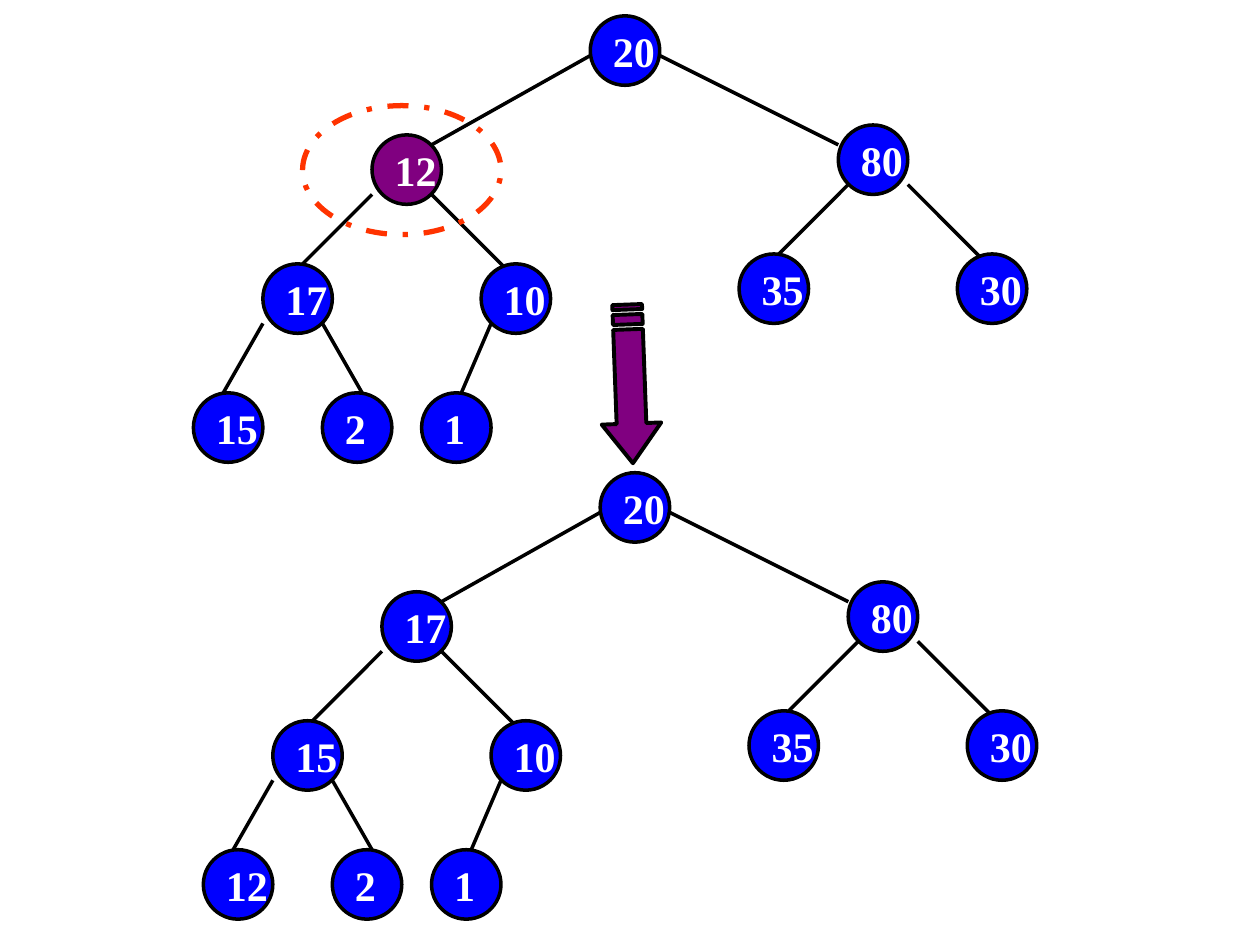
import pptx
import pptx.dml.color
import pptx.enum.dml
import pptx.enum.shapes
import pptx.enum.text
import pptx.oxml.ns
import pptx.util
import lxml.etree

Cm = pptx.util.Cm
Pt = pptx.util.Pt
SHAPE = pptx.enum.shapes.MSO_SHAPE

COLOURS = {
    "node": "0000FF",
    "accent": "800080",
    "outline": "000000",
    "label": "FFFFFF",
    "ring": "FF3300",
}

NODE_SIZE = 1.4
NODE_SPOTS = [
    (8, 0),
    (3.6, 2.4), (13, 2.2),
    (1.4, 5), (5.8, 5), (11, 4.8), (15.4, 4.8),
    (0, 7.6), (2.6, 7.6), (4.6, 7.6),
]
BRANCHES = [
    ((8, 0.8), (4.8, 2.6)),
    ((9.4, 0.8), (13, 2.6)),
    ((3.6, 3.6), (2.2, 5)),
    ((4.8, 3.6), (6.4, 5.2)),
    ((13.2, 3.4), (11.8, 4.8)),
    ((14.4, 3.4), (16, 5)),
    ((1.4, 6.2), (0.6, 7.6)),
    ((2.6, 6.2), (3.4, 7.6)),
    ((6, 6.2), (5.4, 7.6)),
]


def colour(name):
    return pptx.dml.color.RGBColor.from_string(COLOURS[name])


def paint(shape, fill=None, line="outline", width=2):
    shape.shadow.inherit = False
    if fill:
        shape.fill.solid()
        shape.fill.fore_color.rgb = colour(fill)
    else:
        shape.fill.background()
    shape.line.color.rgb = colour(line)
    shape.line.width = Pt(width)


def write(shape, text, size=24, font="Times New Roman", ink="label", bold=True):
    frame = shape.text_frame
    frame.word_wrap = False
    frame.vertical_anchor = pptx.enum.text.MSO_ANCHOR.MIDDLE
    para = frame.paragraphs[0]
    para.alignment = pptx.enum.text.PP_ALIGN.LEFT
    span = para.add_run()
    span.text = text
    span.font.size = Pt(size)
    span.font.name = font
    span.font.bold = bold
    span.font.color.rgb = colour(ink)


def add_branch(group, start, end):
    branch = group.shapes.add_connector(
        pptx.enum.shapes.MSO_CONNECTOR.STRAIGHT,
        *(Cm(value) for value in (*start, *end)))
    branch.line.color.rgb = colour("outline")
    branch.line.width = Pt(2)
    lxml.etree.SubElement(branch._element.spPr, pptx.oxml.ns.qn("a:effectLst"))


def add_tree(page, left, top, values, accent=None):
    group = page.shapes.add_group_shape()
    for start, end in BRANCHES:
        add_branch(group, (left + start[0], top + start[1]),
                   (left + end[0], top + end[1]))
    for value, (x, y) in zip(values, NODE_SPOTS):
        node = group.shapes.add_shape(SHAPE.OVAL, Cm(left + x), Cm(top + y),
                                      Cm(NODE_SIZE), Cm(NODE_SIZE))
        paint(node, fill="accent" if value == accent else "node")
        write(node, str(value))


def add_striped_arrow(page, left, top, width, height, rotation):
    upper, lower, neck = height / 4, height * 3 / 4, width * 3 / 4
    head = [(width * 5 / 32, upper), (neck, upper), (neck, 0), (width, height / 2),
            (neck, height), (neck, lower), (width * 5 / 32, lower)]
    stripes = [
        [(start, upper), (end, upper), (end, lower), (start, lower)]
        for start, end in ((0, width / 32), (width / 16, width / 8))
    ]
    builder = None
    for outline in [head, *stripes]:
        points = [(Cm(x), Cm(y)) for x, y in outline]
        if builder is None:
            builder = page.shapes.build_freeform(*points[0])
        else:
            builder.move_to(*points[0])
        builder.add_line_segments(points[1:], close=True)
    arrow = builder.convert_to_shape(Cm(left), Cm(top))
    arrow.rotation = rotation
    paint(arrow, fill="accent", width=2.25)


def add_ring(page, left, top, width, height):
    ring = page.shapes.add_shape(SHAPE.OVAL, Cm(left), Cm(top), Cm(width), Cm(height))
    paint(ring, line="ring", width=3)
    ring.line.dash_style = pptx.enum.dml.MSO_LINE.DASH_DOT


def main():
    deck = pptx.Presentation()
    deck.slide_width, deck.slide_height = Cm(25.4), Cm(19.05)
    page = deck.slides.add_slide(deck.slide_layouts[6])
    add_tree(page, 3.9, 0.32, [20, 12, 80, 17, 10, 35, 30, 15, 2, 1], accent=12)
    add_striped_arrow(page, 11.1, 7.14, 3.2, 1.2, rotation=87.9)
    add_tree(page, 4.1, 9.53, [20, 17, 80, 15, 10, 35, 30, 12, 2, 1])
    add_ring(page, 6.1, 2.13, 4, 2.6)
    deck.save("out.pptx")


if __name__ == "__main__":
    main()
